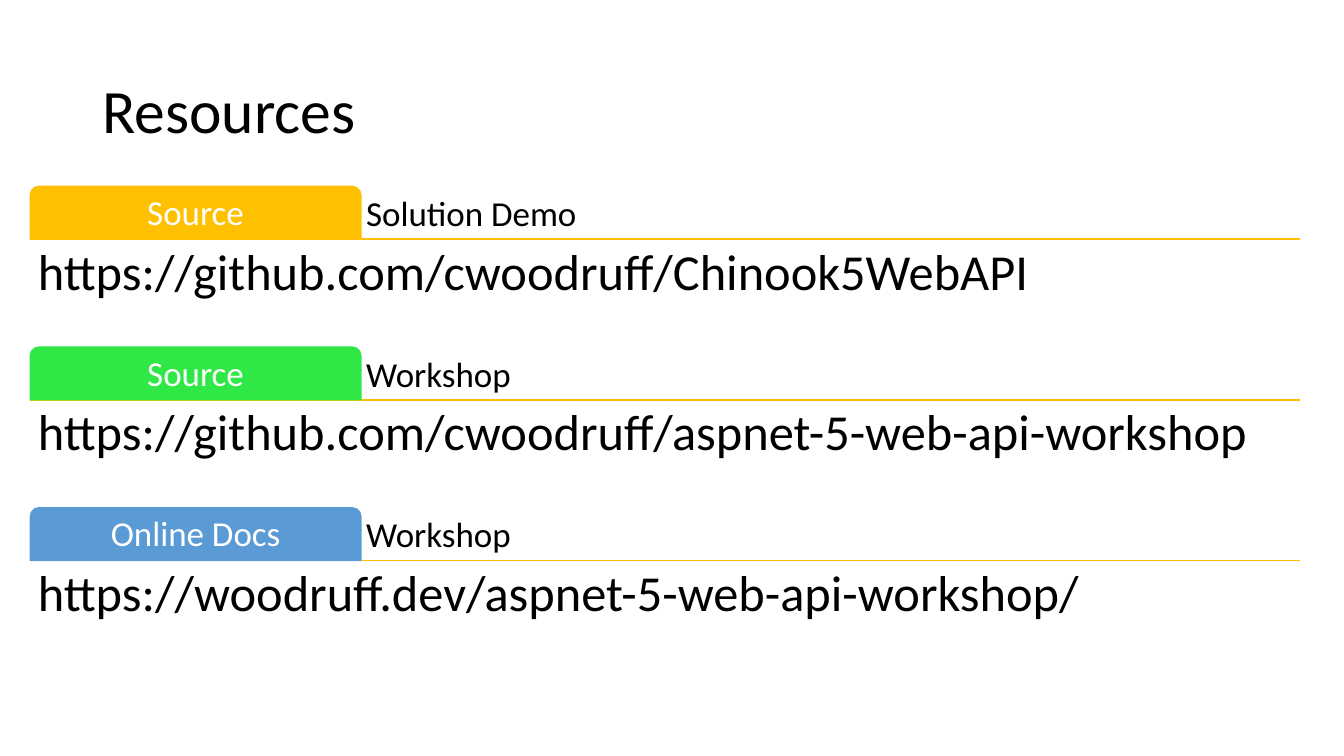
from pptx import Presentation
from pptx.dml.color import RGBColor
from pptx.enum import shapes, text
from pptx.oxml.ns import qn
from pptx.util import Pt

TITLE = "Resources"
RESOURCES = [
    # tab label, tab colour, heading, address
    ("Source", "FFC000", "Solution Demo", "https://github.com/cwoodruff/Chinook5WebAPI"),
    ("Source", "30E845", "Workshop", "https://github.com/cwoodruff/aspnet-5-web-api-workshop"),
    ("Online Docs", "5B9BD5", "Workshop", "https://woodruff.dev/aspnet-5-web-api-workshop/"),
]
FONT = "Calibri"
RULE_COLOUR, BLACK, WHITE = "FFC000", "000000", "FFFFFF"

LEFT, WIDTH = 21.6, 907.2
TOP, ROW_PITCH = 133.1, 114.8
TAB_WIDTH, TAB_HEIGHT = 236.2, 37.7
ADDRESS_HEIGHT = 75.6


def colour(value):
    return RGBColor.from_string(value)


def write(shape, wording, size, text_colour, anchor, inset=None, align=text.PP_ALIGN.LEFT):
    """Put one styled paragraph in a shape; inset None keeps the default margins."""
    frame = shape.text_frame
    frame.text = wording
    frame.word_wrap = True
    frame.vertical_anchor = anchor
    if inset is not None:
        frame.margin_left = frame.margin_right = Pt(inset)
        frame.margin_top = frame.margin_bottom = Pt(inset)
    paragraph = frame.paragraphs[0]
    paragraph.alignment = align
    paragraph.line_spacing = 0.9
    font = paragraph.runs[0].font
    font.name = FONT
    font.size = Pt(size)
    font.color.rgb = colour(text_colour)


def add_text(slide, left, top, width, height, *style):
    box = slide.shapes.add_textbox(Pt(left), Pt(top), Pt(width), Pt(height))
    write(box, *style)


def add_rule(slide, y):
    rule = slide.shapes.add_connector(
        shapes.MSO_CONNECTOR.STRAIGHT, Pt(LEFT), Pt(y), Pt(LEFT + WIDTH), Pt(y))
    rule.line.color.rgb = colour(RULE_COLOUR)
    rule.line.width = Pt(1)
    properties = rule._element.spPr
    properties.append(properties.makeelement(qn("a:effectLst"), {}))


def add_tab(slide, top, label, fill):
    tab = slide.shapes.add_shape(
        shapes.MSO_SHAPE.ROUND_2_SAME_RECTANGLE,
        Pt(LEFT), Pt(top), Pt(TAB_WIDTH), Pt(TAB_HEIGHT))
    tab.adjustments[0] = 0.167
    tab.adjustments[1] = 0
    tab.shadow.inherit = False
    tab.fill.solid()
    tab.fill.fore_color.rgb = colour(fill)
    tab.line.color.rgb = colour(fill)
    tab.line.width = Pt(1)
    write(tab, label, 25, WHITE, text.MSO_ANCHOR.MIDDLE, 3.75, text.PP_ALIGN.CENTER)


def main():
    presentation = Presentation()
    presentation.slide_width, presentation.slide_height = Pt(960), Pt(540)
    slide = presentation.slides.add_slide(presentation.slide_layouts[6])

    add_text(slide, 66, 28.8, 828, 104.4, TITLE, 44, BLACK, text.MSO_ANCHOR.MIDDLE)
    for row, (label, fill, heading, address) in enumerate(RESOURCES):
        top = TOP + row * ROW_PITCH
        rule_y = top + TAB_HEIGHT
        add_rule(slide, rule_y)
        add_text(slide, LEFT + TAB_WIDTH, top, WIDTH - TAB_WIDTH, TAB_HEIGHT,
                 heading, 25, BLACK, text.MSO_ANCHOR.BOTTOM, 3.75)
        add_tab(slide, top, label, fill)
        add_text(slide, LEFT, rule_y, WIDTH, ADDRESS_HEIGHT,
                 address, 36, BLACK, text.MSO_ANCHOR.TOP, 5.4)

    presentation.save("out.pptx")


if __name__ == "__main__":
    main()
